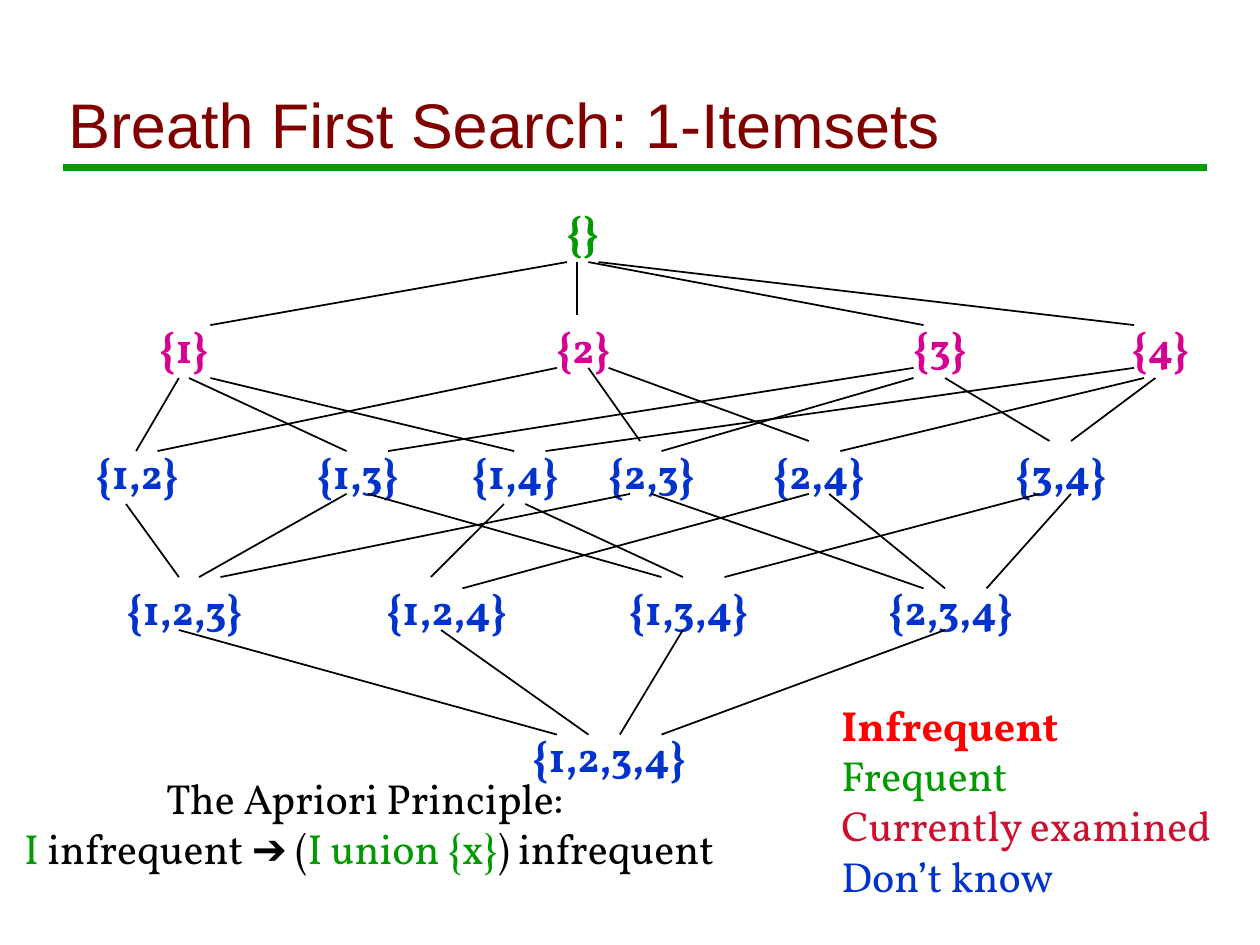
import pptx
import pptx.util
import pptx.dml.color
import pptx.enum.shapes
import pptx.enum.text
import pptx.oxml
import pptx.oxml.ns

Inches = pptx.util.Inches
RGBColor = pptx.dml.color.RGBColor
ALIGN = pptx.enum.text.PP_ALIGN

MAROON = RGBColor(0x80, 0x00, 0x00)
GREEN = RGBColor(0x00, 0x99, 0x00)
MAGENTA = RGBColor(0xD6, 0x00, 0x93)
BLUE = RGBColor(0x00, 0x33, 0xCC)
RED = RGBColor(0xFF, 0x00, 0x00)
CRIMSON = RGBColor(0xCF, 0x0E, 0x30)
BLACK = RGBColor(0x00, 0x00, 0x00)
HEADING_FONT = "Arial"
BODY_FONT = "Vollkorn"

# Content: lattice levels as (top, box width, colour, {itemset: left})
TITLE = "Breath First Search: 1-Itemsets"
LEVELS = [
    (1.58, 0.49, GREEN, {"{}": 4.38}),
    (2.5, 0.68, MAGENTA, {"{1}": 1.12, "{2}": 4.29, "{3}": 7.12, "{4}": 8.87}),
    (3.5, 0.96, BLUE, {"{1,2}": 0.61, "{1,3}": 2.36, "{1,4}": 3.61,
                       "{2,3}": 4.69, "{2,4}": 6.02, "{3,4}": 7.94}),
    (4.58, 1.25, BLUE, {"{1,2,3}": 0.84, "{1,2,4}": 2.92,
                        "{1,3,4}": 4.84, "{2,3,4}": 6.92}),
    (5.75, 1.53, BLUE, {"{1,2,3,4}": 4.07}),
]

# Edges from each itemset to its supersets: (x1, y1, x2, y2)
EDGES = {
    "{}": [(4.5, 2.08, 1.67, 2.58), (4.58, 2.08, 4.58, 2.5),
           (4.67, 2.08, 7.33, 2.58), (4.75, 2.08, 9, 2.58)],
    "{1}": [(1.42, 3, 1.08, 3.58), (1.5, 3, 2.75, 3.58), (1.67, 3, 4.08, 3.58)],
    "{2}": [(4.42, 2.92, 1.25, 3.58), (4.67, 2.92, 5.08, 3.5),
            (4.83, 2.92, 6.42, 3.5)],
    "{3}": [(7.25, 2.92, 3.08, 3.58), (7.25, 3, 5.25, 3.58), (7.5, 3, 8.33, 3.5)],
    "{4}": [(9, 2.92, 4.33, 3.58), (9.08, 3, 6.67, 3.58), (9.17, 3, 8.5, 3.5)],
    "{1,2}": [(1, 4, 1.42, 4.58)],
    "{1,3}": [(2.75, 3.92, 1.58, 4.58), (2.92, 3.92, 5.25, 4.58)],
    "{1,4}": [(4, 4, 3.42, 4.58), (4.17, 4, 5.42, 4.58)],
    "{2,3}": [(5, 3.92, 1.75, 4.58), (5.17, 3.92, 7.33, 4.67)],
    "{2,4}": [(6.42, 3.92, 3.67, 4.67), (6.58, 3.92, 7.5, 4.67)],
    "{3,4}": [(8.25, 3.92, 5.75, 4.58), (8.5, 3.92, 7.83, 4.67)],
    "{1,2,3}": [(1.42, 5, 4.42, 5.83)],
    "{1,2,4}": [(3.5, 5, 4.67, 5.83)],
    "{1,3,4}": [(5.42, 5, 4.92, 5.83)],
    "{2,3,4}": [(7.5, 5, 5.25, 5.83)],
}
PRINCIPLE_HEADING = "The Apriori Principle: "
PRINCIPLE = [
    ("I", GREEN, BODY_FONT), (" infrequent ", BLACK, BODY_FONT),
    ("➔", BLACK, HEADING_FONT), (" (", BLACK, BODY_FONT),
    ("I union {x}", GREEN, BODY_FONT), (") infrequent", BLACK, BODY_FONT),
]
LEGEND = [("Infrequent", RED, True), ("Frequent", GREEN, False),
          ("Currently examined", CRIMSON, False), ("Don’t know", BLUE, False)]


def add_run(paragraph, text, color, font=BODY_FONT, size=24, bold=False):
    run = paragraph.add_run()
    run.text = text
    run.font.name = font
    run.font.size = pptx.util.Pt(size)
    run.font.bold = bold
    run.font.color.rgb = color


def add_text_box(slide, left, top, width, height, wrap=False):
    frame = slide.shapes.add_textbox(
        Inches(left), Inches(top), Inches(width), Inches(height)).text_frame
    frame.word_wrap = wrap
    return frame


def add_line(slide, ends, color=BLACK, width=1):
    line = slide.shapes.add_connector(
        pptx.enum.shapes.MSO_CONNECTOR.STRAIGHT, *(Inches(value) for value in ends))
    line.line.color.rgb = color
    line.line.width = pptx.util.Pt(width)
    properties = line._element.spPr
    properties.append(pptx.oxml.parse_xml(
        "<a:effectLst %s/>" % pptx.oxml.ns.nsdecls("a")))


def main():
    presentation = pptx.Presentation()
    presentation.slide_width = Inches(10)
    presentation.slide_height = Inches(7.5)
    slide = presentation.slides.add_slide(presentation.slide_layouts[5])

    # Title and rule below it
    add_line(slide, (0.5, 1.33, 9.58, 1.33), GREEN, 4)
    title = slide.shapes.title
    title.left, title.top = Inches(0.44), Inches(0.25)
    title.width, title.height = Inches(8.97), Inches(1.08)
    title.text_frame.vertical_anchor = pptx.enum.text.MSO_ANCHOR.BOTTOM
    paragraph = title.text_frame.paragraphs[0]
    paragraph.alignment = ALIGN.LEFT
    add_run(paragraph, TITLE, MAROON, HEADING_FONT, 36)

    # Itemset lattice
    for top, width, color, itemsets in LEVELS:
        for itemset, left in itemsets.items():
            paragraph = add_text_box(slide, left, top, width, 0.5).paragraphs[0]
            paragraph.alignment = ALIGN.CENTER
            add_run(paragraph, itemset, color, bold=True)
    for edges in EDGES.values():
        for ends in edges:
            add_line(slide, ends)

    # Apriori principle
    paragraph = add_text_box(slide, -0.25, 6.08, 6.36, 0.9).paragraphs[0]
    paragraph.alignment = ALIGN.CENTER
    add_run(paragraph, PRINCIPLE_HEADING, BLACK)
    paragraph.add_line_break()
    for text, color, font in PRINCIPLE:
        add_run(paragraph, text, color, font)

    # Colour legend
    frame = add_text_box(slide, 6.58, 5.5, 3.19, 2.1, wrap=True)
    for index, (text, color, bold) in enumerate(LEGEND):
        paragraph = frame.add_paragraph() if index else frame.paragraphs[0]
        add_run(paragraph, text, color, bold=bold)

    presentation.save("out.pptx")


if __name__ == "__main__":
    main()
